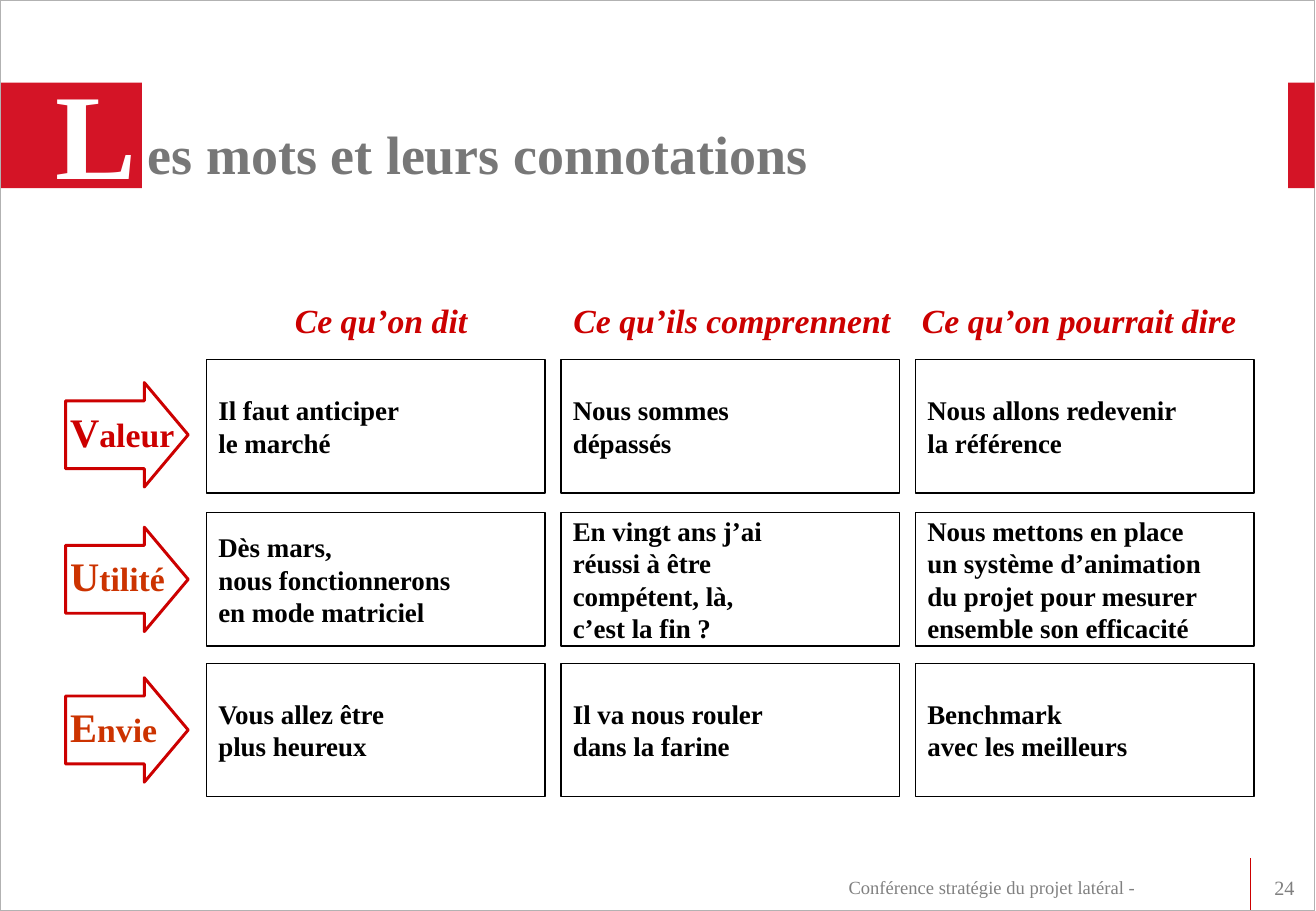
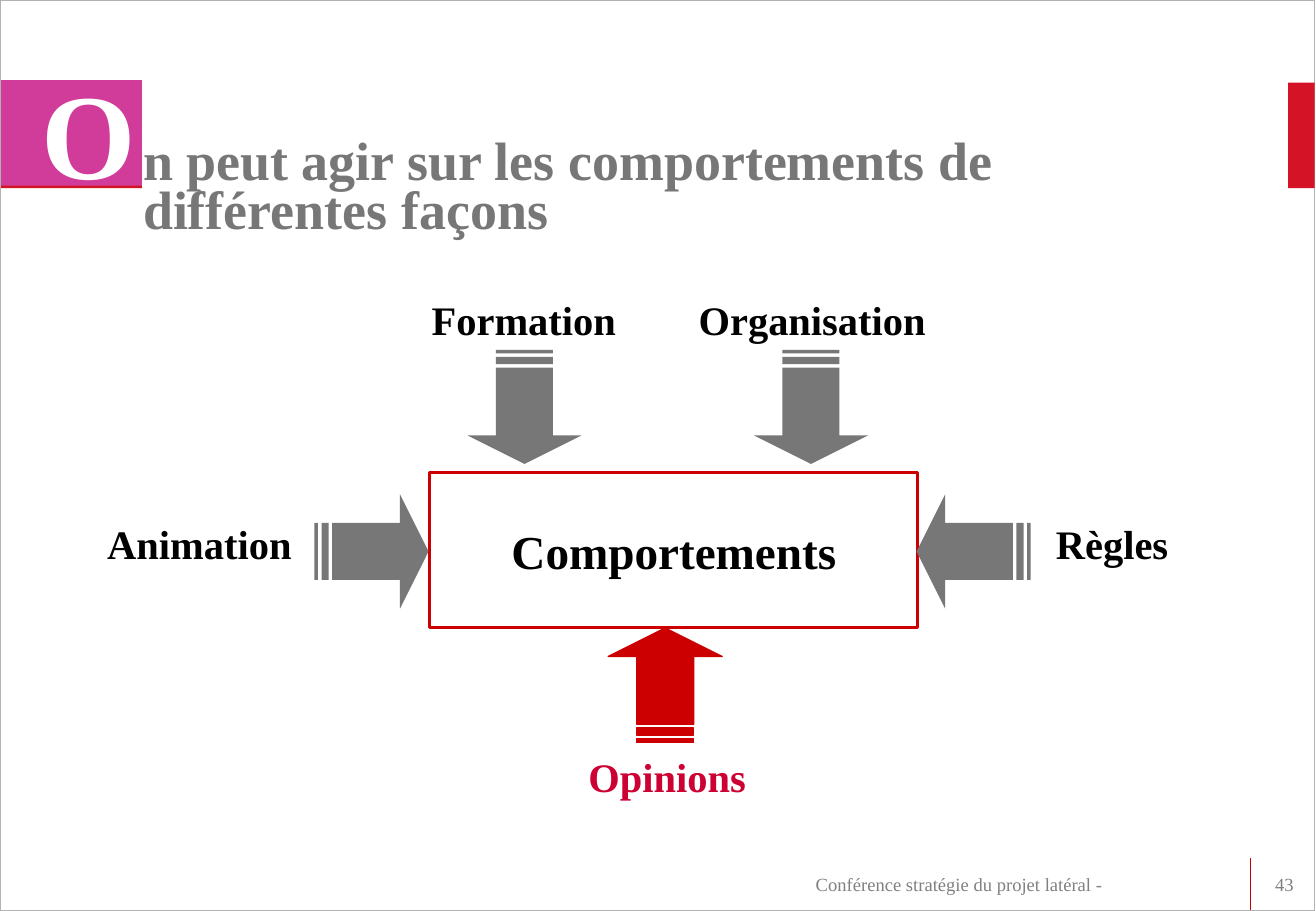
"""Build two slides on words and behaviours with a shared frame, title and footer."""
from lxml import etree
from pptx import Presentation
from pptx.dml.color import RGBColor
from pptx.enum.shapes import MSO_CONNECTOR, MSO_SHAPE
from pptx.enum.text import MSO_ANCHOR, PP_ALIGN
from pptx.oxml.ns import qn
from pptx.util import Inches, Pt

RECT, ARROW, STRIPED = MSO_SHAPE.RECTANGLE, MSO_SHAPE.RIGHT_ARROW, MSO_SHAPE.STRIPED_RIGHT_ARROW
STRAIGHT = MSO_CONNECTOR.STRAIGHT
TOP, MIDDLE = MSO_ANCHOR.TOP, MSO_ANCHOR.MIDDLE
LEFT, CENTER, RIGHT = PP_ALIGN.LEFT, PP_ALIGN.CENTER, PP_ALIGN.RIGHT

BAND_RED = RGBColor(0xD4, 0x14, 0x26)
RED = RGBColor(0xCC, 0x00, 0x00)
ORANGE = RGBColor(0xCC, 0x33, 0x00)
CRIMSON = RGBColor(0xCC, 0x00, 0x33)
PINK = RGBColor(0xD1, 0x3C, 0x9B)
GREY = RGBColor(0x77, 0x77, 0x77)
FOOTER_GREY = RGBColor(0x80, 0x80, 0x80)
FRAME_GREY = RGBColor(0xB2, 0xB2, 0xB2)
BLACK = RGBColor(0x00, 0x00, 0x00)
WHITE = RGBColor(0xFF, 0xFF, 0xFF)

FONT = "Times New Roman"
WIDTH, HEIGHT = 10.84, 7.5
FOOTER = "Conférence stratégie du projet latéral -"
INITIAL = dict(size=72, color=WHITE, bold=True)
TITLE = dict(size=32, color=GREY, bold=True)
HEADER = dict(size=20, color=RED, bold=True, italic=True)
CARD = dict(size=16, color=BLACK, bold=True)
CORE = dict(size=28, color=BLACK, bold=True)

WORDS = dict(initial="L", title="es mots et leurs connotations", title_box=(1.12, 0.78, 9.3, 1.08),
             anchor=MIDDLE, number="24", number_size=12, footer_left=6.47, footer_top=7.16)
ACTIONS = dict(initial="O", title="n peut agir sur les comportements de différentes façons",
               title_box=(1.08, 1.12, 8.96, 0.94), anchor=TOP, number="43", number_size=11,
               footer_left=6.2, footer_top=7.14, tile=PINK)

HEADERS = [("Ce qu’on dit", 3.14), ("Ce qu’ils comprennent", 6.03), ("Ce qu’on pourrait dire", 8.89)]
ROWS = [
    ("Valeur", RED, 2.96, 3.15, [
        ["Il faut anticiper", "le marché"],
        ["Nous sommes", "dépassés"],
        ["Nous allons redevenir", "la référence"]]),
    ("Utilité", ORANGE, 4.22, 4.34, [
        ["Dès mars,", "nous fonctionnerons", "en mode matriciel"],
        ["En vingt ans j’ai", "réussi à être", "compétent, là,", "c’est la fin ?"],
        ["Nous mettons en place", "un système d’animation", "du projet pour mesurer",
         "ensemble son efficacité"]]),
    ("Envie", ORANGE, 5.46, 5.58, [
        ["Vous allez être", "plus heureux"],
        ["Il va nous rouler", "dans la farine"],
        ["Benchmark", "avec les meilleurs"]]),
]
CARD_LEFT, CARD_PITCH, CARD_W, CARD_H = 1.7, 2.92, 2.79, 1.1

LEVERS = [
    ("Règles", (8.6, 4.22, 1.73), LEFT, BLACK, (7.55, 4.07), 180, GREY),
    ("Organisation", (5.35, 2.38, 2.68), CENTER, BLACK, (6.21, 2.88), 90, GREY),
    ("Formation", (3.38, 2.38, 1.87), CENTER, BLACK, (3.85, 2.88), 90, GREY),
    ("Animation", (0.54, 4.22, 1.96), RIGHT, BLACK, (2.59, 4.07), 0, GREY),
    ("Opinions", (4.64, 6.14, 1.71), CENTER, CRIMSON, (5.01, 5.17), 270, RED),
]
LEVER_ARROW = 0.94


def write(sp, paragraphs, align=LEFT, anchor=TOP, wrap=True, spacing=None):
    """Fill a shape with paragraphs, each a list of (text, format) runs."""
    tf = sp.text_frame
    tf.word_wrap, tf.vertical_anchor = wrap, anchor
    for i, runs in enumerate(paragraphs):
        p = tf.add_paragraph() if i else tf.paragraphs[0]
        p.alignment = align
        if spacing:
            p.line_spacing = spacing
        for text, fmt in runs:
            r = p.add_run()
            r.text = text
            r.font.name = FONT
            r.font.size = Pt(fmt["size"])
            r.font.color.rgb = fmt["color"]
            for name in ("bold", "italic"):
                setattr(r.font, name, fmt.get(name, False))


def add_text(s, box, text, fmt, **layout):
    """Add a text box holding one run."""
    write(s.shapes.add_textbox(*map(Inches, box)), [[(text, fmt)]], **layout)


def add_box(s, kind, box, fill=None, line=None, weight=0.75):
    """Add a preset shape with an optional fill and outline."""
    sp = s.shapes.add_shape(kind, *map(Inches, box))
    sp.shadow.inherit = False
    for part, color in ((sp.fill, fill), (sp.line.fill, line)):
        if color is None:
            part.background()
        else:
            part.solid()
            part.fore_color.rgb = color
    if line is not None:
        sp.line.width = Pt(weight)
    return sp


def add_base(prs, d):
    """Add a slide with its frame, bands, title and footer."""
    s = prs.slides.add_slide(prs.slide_layouts[6])
    add_box(s, RECT, (0.01, 0.68, 1.16, 0.87), BAND_RED)
    cx = s.shapes.add_connector(STRAIGHT, *map(Inches, (10.3, 7.49, 10.3, 7.06)))
    cx.line.color.rgb, cx.line.width = RED, Pt(0.75)
    etree.SubElement(cx._element.spPr, qn("a:effectLst"))
    add_box(s, RECT, (0, 0, WIDTH - 0.01, HEIGHT), line=FRAME_GREY)
    add_box(s, RECT, (10.61, 0.68, 0.22, 0.87), BAND_RED)
    if "tile" in d:
        add_box(s, RECT, (0.01, 0.66, 1.16, 0.87), d["tile"])
    add_text(s, d["title_box"], d["title"], TITLE, anchor=d["anchor"], spacing=0.75)
    add_text(s, (0.05, 0.65, 1.17, 0.86), d["initial"], INITIAL, align=RIGHT, anchor=MIDDLE)
    add_text(s, (10.3, d["footer_top"], 0.56, 0.33), d["number"],
             dict(size=d["number_size"], color=FOOTER_GREY), align=CENTER)
    add_text(s, (d["footer_left"], d["footer_top"], 2.98, 0.52), FOOTER,
             dict(size=11, color=FOOTER_GREY), align=RIGHT)
    return s


def build_words(prs):
    """Build the grid of phrases."""
    s = add_base(prs, WORDS)
    for text, center in HEADERS:
        add_text(s, (center - 1.42, 2.34, 2.84, 0.59), text, HEADER,
                 align=CENTER, anchor=MIDDLE, wrap=False)
    for label, color, top, arrow_top, cards in ROWS:
        sp = add_box(s, ARROW, (0.54, arrow_top, 1.01, 0.86), line=RED, weight=1.75)
        sp.adjustments[0], sp.adjustments[1] = 0.65, 0.42
        runs = [(part, dict(size=size, color=color, bold=True))
                for part, size in ((label[0], 24), (label[1:], 20))]
        tb = s.shapes.add_textbox(*map(Inches, (0.48, arrow_top + 0.15, 1.06, 0.5)))
        write(tb, [runs], wrap=False)
        for col, lines in enumerate(cards):
            box = (CARD_LEFT + col * CARD_PITCH, top, CARD_W, CARD_H)
            write(add_box(s, RECT, box, line=BLACK), [[(t, CARD)] for t in lines], anchor=MIDDLE)


def build_actions(prs):
    """Build the levers that point at behaviours."""
    s = add_base(prs, ACTIONS)
    core = add_box(s, RECT, (3.54, 3.89, 4.02, 1.28), line=RED, weight=1.75)
    write(core, [[("Comportements", CORE)]], align=CENTER, anchor=MIDDLE)
    for text, place, align, color, corner, angle, fill in LEVERS:
        add_text(s, (*place, 0.5), text, dict(size=24, color=color, bold=True), align=align)
        sp = add_box(s, STRIPED, (*corner, LEVER_ARROW, LEVER_ARROW), fill,
                     line=RED if fill == RED else None)
        sp.adjustments[0], sp.adjustments[1] = 0.5, 0.25
        sp.rotation = angle


def main():
    """Build and save the presentation."""
    prs = Presentation()
    prs.slide_width, prs.slide_height = Inches(WIDTH), Inches(HEIGHT)
    build_words(prs)
    build_actions(prs)
    prs.save("out.pptx")


if __name__ == "__main__":
    main()
